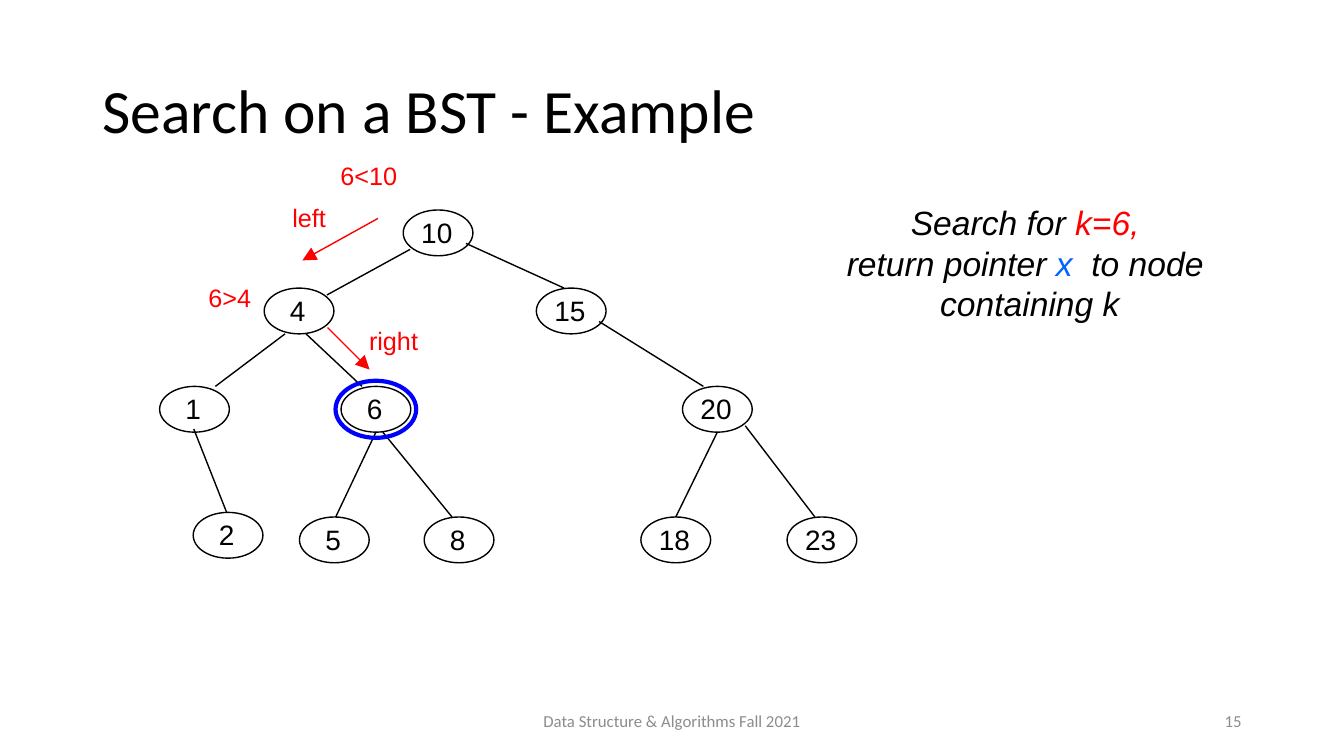
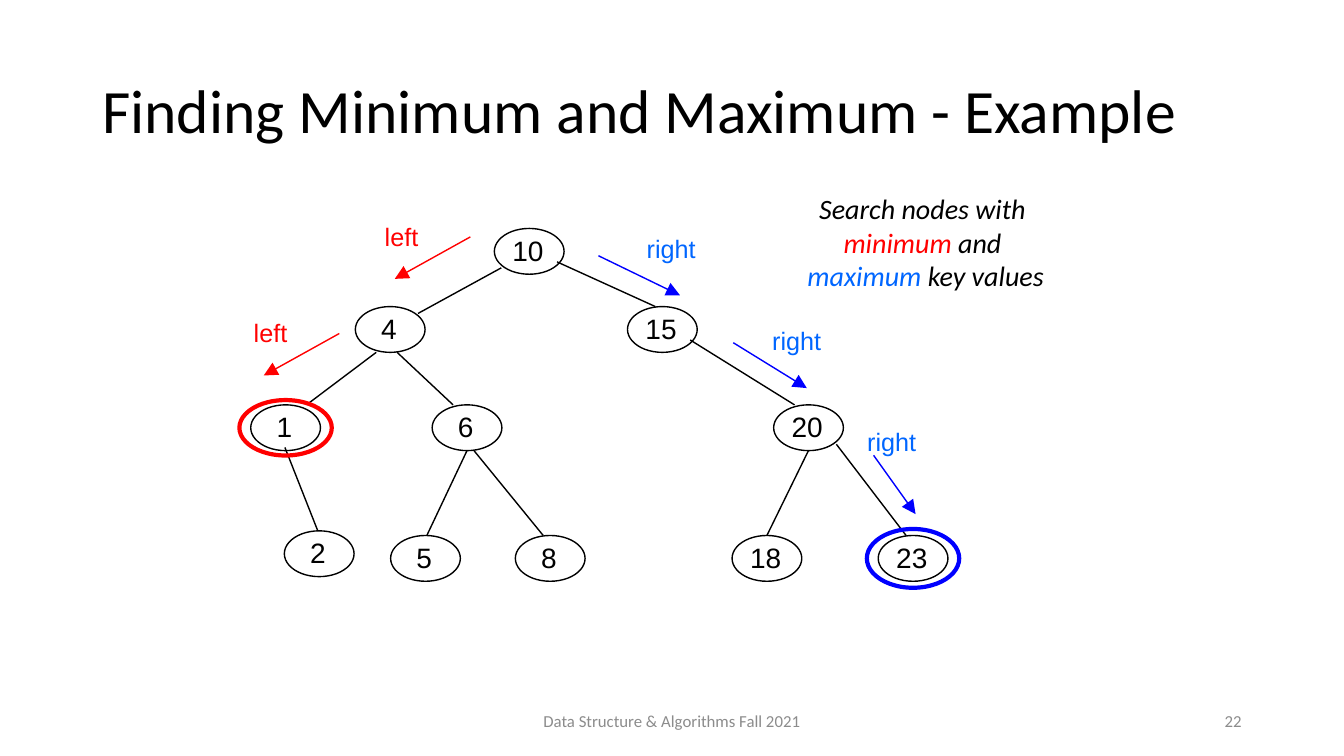
from collections import namedtuple

from lxml import etree
from pptx import Presentation
from pptx.dml.color import RGBColor
from pptx.enum.shapes import MSO_CONNECTOR, MSO_SHAPE
from pptx.enum.text import MSO_ANCHOR, MSO_AUTO_SIZE, PP_ALIGN
from pptx.oxml.ns import qn
from pptx.util import Inches, Pt

LEFT, CENTER, RIGHT = PP_ALIGN.LEFT, PP_ALIGN.CENTER, PP_ALIGN.RIGHT
TOP, MIDDLE = MSO_ANCHOR.TOP, MSO_ANCHOR.MIDDLE
FIT_SHAPE, FIXED = MSO_AUTO_SIZE.SHAPE_TO_FIT_TEXT, MSO_AUTO_SIZE.NONE
ELLIPSE = MSO_SHAPE.OVAL
STRAIGHT = MSO_CONNECTOR.STRAIGHT

BLACK = RGBColor(0, 0, 0)
GRAY = RGBColor(0x8C, 0x8C, 0x8C)
RED = RGBColor(0xFF, 0, 0)
BLUE = RGBColor(0, 0, 0xFF)
AZURE = RGBColor(0, 0x66, 0xFF)

COLUMNS, ROWS = 160, 90
SLIDE_WIDTH, SLIDE_HEIGHT = Inches(40 / 3), Inches(7.5)
HEADING, BODY = "Calibri", "Arial"
FOOTER = "Data Structure & Algorithms Fall 2021"

Box = namedtuple("Box", "left top width height")
Style = namedtuple("Style", "font size italic", defaults=[False])
Step = namedtuple("Step", "key start move label text arrow_color text_color")
Remark = namedtuple("Remark", "key offset width text")
Ring = namedtuple("Ring", "key width height color")

TITLE_BOX = Box(11, 4.8, 138, 17.4)
FOOTER_BOX = Box(53, 83.4, 54, 4.8)
NUMBER_BOX = Box(113, 83.4, 36, 4.8)

NODE_WIDTH, NODE_HEIGHT = 8.3, 5.45
LABEL_HEIGHT = 4.8
LABEL_WIDTHS = {"left": 6.4, "right": 8.3}
NODES = {
    10: (29, 0),
    15: (44.85, 9.3), 4: (12.45, 9.3),
    6: (21.6, 21), 1: (0, 21), 20: (62.25, 21),
    8: (31.5, 36.55), 5: (16.65, 36.55), 23: (74.7, 36.55), 18: (57.3, 36.55),
    2: (4, 36),
}
EDGES = [
    (10, (0.1, 0.86), 4, (0.9, 0.15)),
    (4, (0.3, 1), 1, (0.8, 0)),
    (4, (0.6, 1), 6, (0.3, 0)),
    (6, (0.5, 1), 5, (0.52, 0)),
    (6, (0.6, 1), 8, (0.4, 0)),
    (10, (0.9, 0.73), 15, (0.4, 0)),
    (15, (0.9, 0.73), 20, (0.3, 0)),
    (20, (0.5, 1), 18, (0.5, 0)),
    (20, (0.9, 0.86), 23, (0.4, 0)),
    (1, (0.49, 0.93), 2, (0.48, 0)),
]


def across(columns):
    return round(SLIDE_WIDTH * columns / COLUMNS)


def down(rows):
    return round(SLIDE_HEIGHT * rows / ROWS)


def place(box):
    return across(box.left), down(box.top), across(box.width), down(box.height)


def add_run(paragraph, text, style, color):
    run = paragraph.add_run()
    run.text = text
    run.font.name = style.font
    run.font.size = Pt(style.size)
    run.font.italic = style.italic
    run.font.color.rgb = color


def add_text(slide, box, lines, style, alignment=CENTER, anchor=TOP, wrap=False, spacing=1):
    frame = slide.shapes.add_textbox(*place(box)).text_frame
    frame.auto_size = FIXED if wrap else FIT_SHAPE
    frame.word_wrap = wrap
    frame.vertical_anchor = anchor
    for index, line in enumerate(lines):
        paragraph = frame.add_paragraph() if index else frame.paragraphs[0]
        paragraph.alignment = alignment
        paragraph.line_spacing = spacing
        for text, color in line:
            add_run(paragraph, text, style, color)


def add_ellipse(shapes, box, color, weight):
    shape = shapes.add_shape(ELLIPSE, *place(box))
    shape.shadow.inherit = False
    shape.fill.background()
    shape.line.color.rgb = color
    shape.line.width = Pt(weight)
    return shape


def add_line(shapes, start, end, color, arrow=False):
    connector = shapes.add_connector(
        STRAIGHT, across(start[0]), down(start[1]), across(end[0]), down(end[1]))
    connector.line.color.rgb = color
    connector.line.width = Pt(1)
    properties = connector._element.spPr
    if arrow:
        head = etree.SubElement(properties.find(qn("a:ln")), qn("a:tailEnd"))
        head.set("type", "triangle")
        head.set("w", "lg")
        head.set("len", "lg")
    etree.SubElement(properties, qn("a:effectLst"))


def shift(point, offset):
    return point[0] + offset[0], point[1] + offset[1]


def node_point(origin, key, share=(0, 0)):
    corner = shift(origin, NODES[key])
    return shift(corner, (share[0] * NODE_WIDTH, share[1] * NODE_HEIGHT))


def add_tree(slide, origin):
    shapes = slide.shapes.add_group_shape().shapes
    for key in NODES:
        box = Box(*node_point(origin, key), NODE_WIDTH, NODE_HEIGHT)
        frame = add_ellipse(shapes, box, BLACK, 1).text_frame
        frame.word_wrap = False
        frame.vertical_anchor = MIDDLE
        frame.margin_left = frame.margin_top = 0
        frame.margin_right = across(0.3)
        frame.margin_bottom = down(0.25)
        paragraph = frame.paragraphs[0]
        paragraph.alignment = CENTER
        add_run(paragraph, str(key), Style(BODY, 20), BLACK)
    for parent, parent_share, child, child_share in EDGES:
        add_line(shapes, node_point(origin, parent, parent_share),
                 node_point(origin, child, child_share), BLACK)


def add_step(slide, origin, step):
    start = shift(node_point(origin, step.key), step.start)
    add_line(slide.shapes, start, shift(start, step.move), step.arrow_color, arrow=True)
    box = Box(*shift(start, step.label), LABEL_WIDTHS[step.text], LABEL_HEIGHT)
    add_text(slide, box, [[(step.text, step.text_color)]], Style(BODY, 18))


def add_remark(slide, origin, remark):
    corner = shift(node_point(origin, remark.key), remark.offset)
    box = Box(*corner, remark.width, LABEL_HEIGHT)
    add_text(slide, box, [[(remark.text, RED)]], Style(BODY, 18))


def add_ring(slide, origin, ring):
    center = node_point(origin, ring.key, (0.5, 0.5))
    corner = shift(center, (-ring.width / 2, -ring.height / 2))
    add_ellipse(slide.shapes, Box(*corner, ring.width, ring.height), ring.color, 3)


def left_step(key, start):
    return Step(key, start, (-9, 5), (-11.4, -2.5), "left", RED, RED)


def right_step(key, start, move, label, arrow_color=BLUE, text_color=AZURE):
    return Step(key, start, move, label, "right", arrow_color, text_color)


def add_frame(slide, title, number):
    small = Style(HEADING, 12)
    add_text(slide, TITLE_BOX, [[(title, BLACK)]], Style(HEADING, 44), LEFT, MIDDLE, True, 0.9)
    add_text(slide, NUMBER_BOX, [[(number, GRAY)]], small, RIGHT, MIDDLE, True)
    add_text(slide, FOOTER_BOX, [[(FOOTER, GRAY)]], small, CENTER, MIDDLE, True)


def add_tree_slide(presentation, title, number, origin, steps, rings, task_box,
                   task_lines, task_style, remarks=()):
    slide = presentation.slides.add_slide(presentation.slide_layouts[6])
    add_frame(slide, title, number)
    add_tree(slide, origin)
    for remark in remarks:
        add_remark(slide, origin, remark)
    for step in steps:
        add_step(slide, origin, step)
    for ring in rings:
        add_ring(slide, origin, ring)
    add_text(slide, task_box, task_lines, task_style)


def main():
    presentation = Presentation()
    presentation.slide_width, presentation.slide_height = SLIDE_WIDTH, SLIDE_HEIGHT
    add_tree_slide(
        presentation, "Search on a BST - Example", "15", (19, 25),
        steps=[
            left_step(10, (-3, 1)),
            right_step(4, (7.55, 4.7), (5, 5), (3.7, -0.85), RED, RED),
        ],
        rings=[Ring(6, 9.6, 6.8, BLUE)],
        task_box=Box(99.4, 23.5, 46.4, 15.7),
        task_lines=[
            [("Search for ", BLACK), ("k=6, ", RED)],
            [("return pointer", BLACK), (" x", AZURE), ("  to node ", BLACK)],
            [("containing k", BLACK)],
        ],
        task_style=Style(BODY, 24, True),
        remarks=[Remark(10, (-9.1, -6.5), 10, "6<10"), Remark(4, (-8.1, -1.3), 8, "6>4")],
    )
    add_tree_slide(
        presentation, "Finding Minimum and Maximum - Example", "22", (29.85, 27.2),
        steps=[
            left_step(10, (-2.85, 1)),
            left_step(4, (-1.9, 3.2)),
            right_step(10, (12.4, 3.25), (9.7, 4.7), (4.5, -3.3)),
            right_step(15, (12.6, 4.3), (8.75, 5.4), (3.4, -2.65)),
            right_step(20, (11.9, 6), (5, 7), (-2, -4)),
        ],
        rings=[Ring(1, 11, 6.6, RED), Ring(23, 11, 7, BLUE)],
        task_box=Box(94.7, 22.2, 31, 13.3),
        task_lines=[
            [("Search nodes with ", BLACK)],
            [("minimum", RED), (" and ", BLACK)],
            [("maximum", AZURE), (" key values", BLACK)],
        ],
        task_style=Style(HEADING, 20, True),
    )
    presentation.save("out.pptx")


if __name__ == "__main__":
    main()
